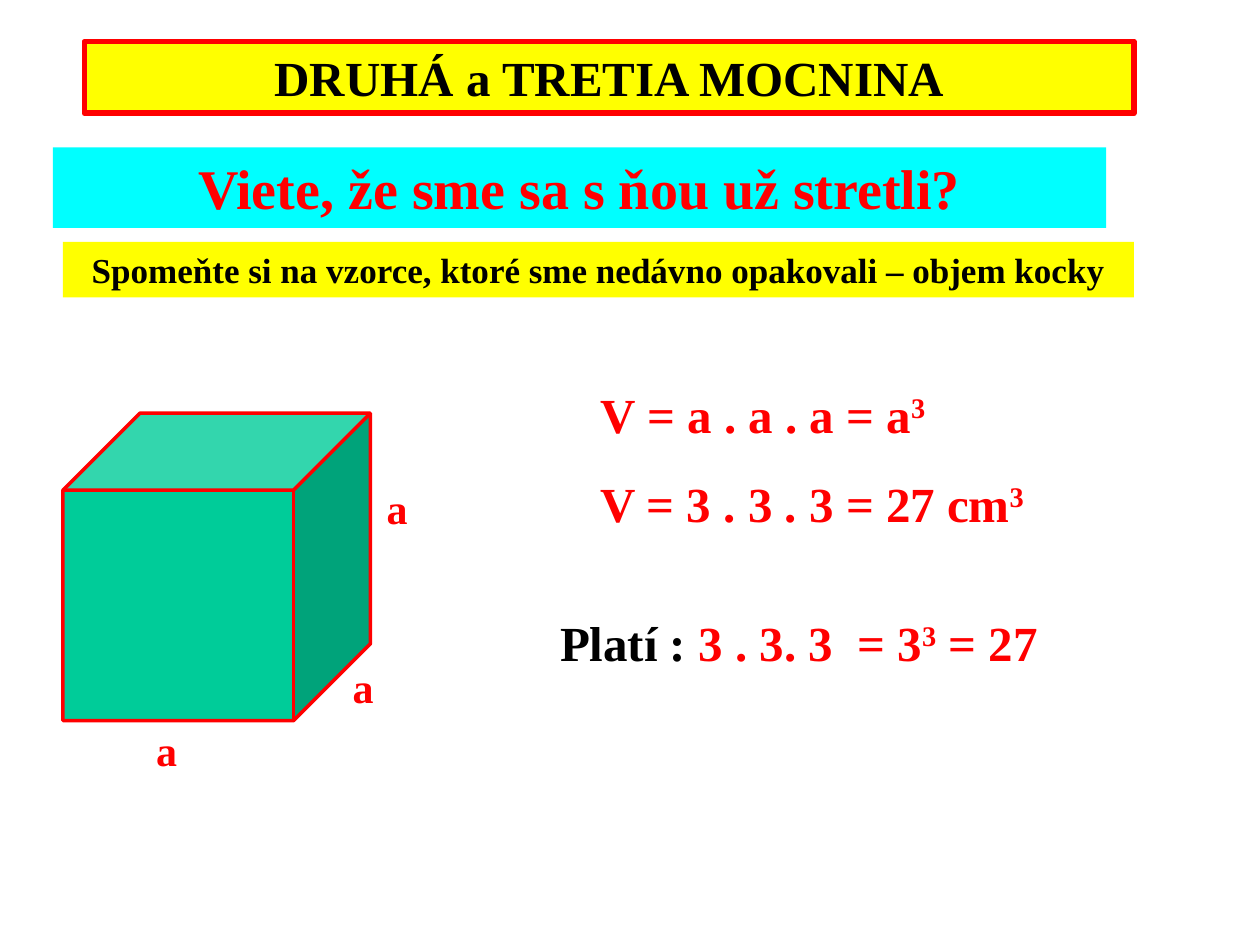
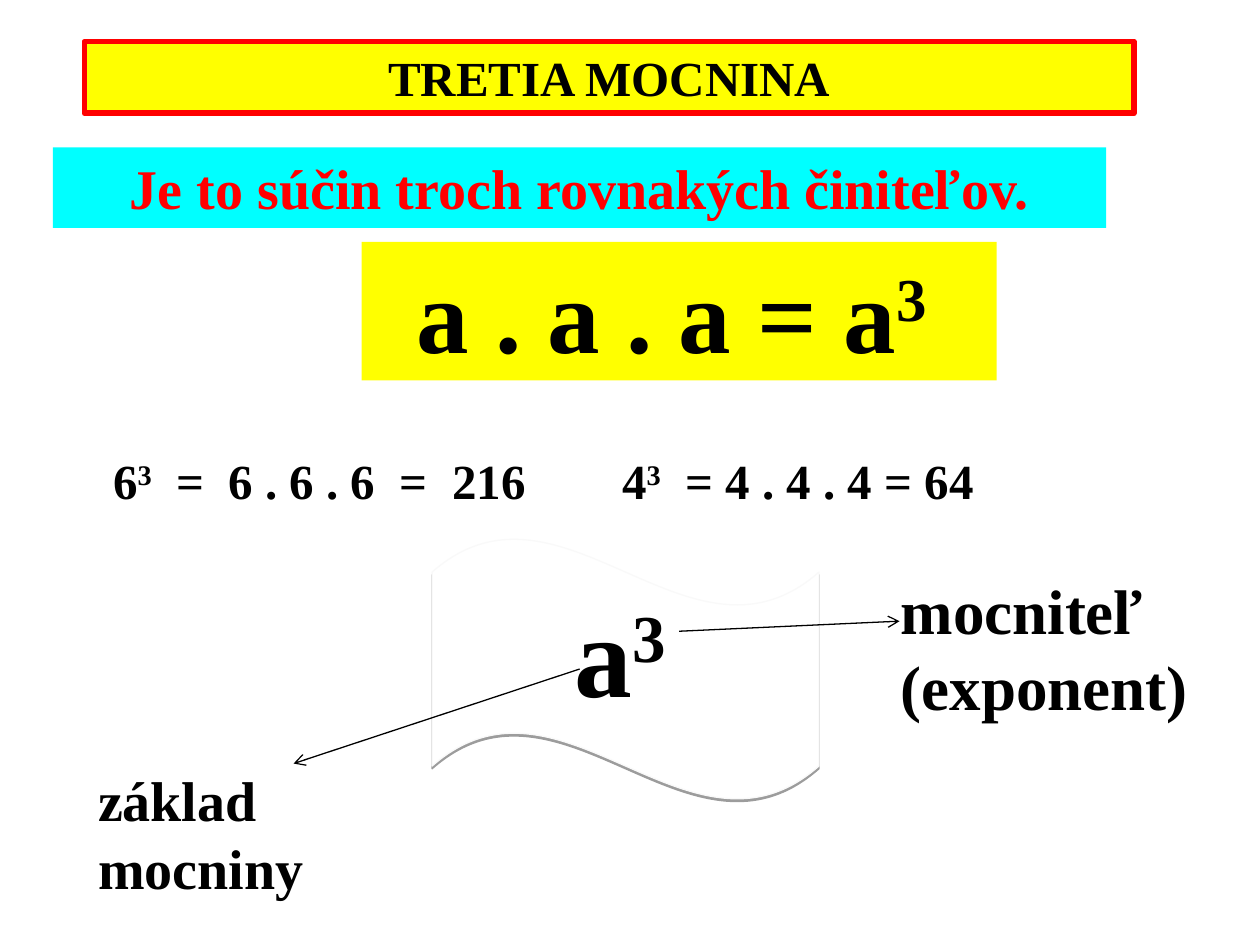
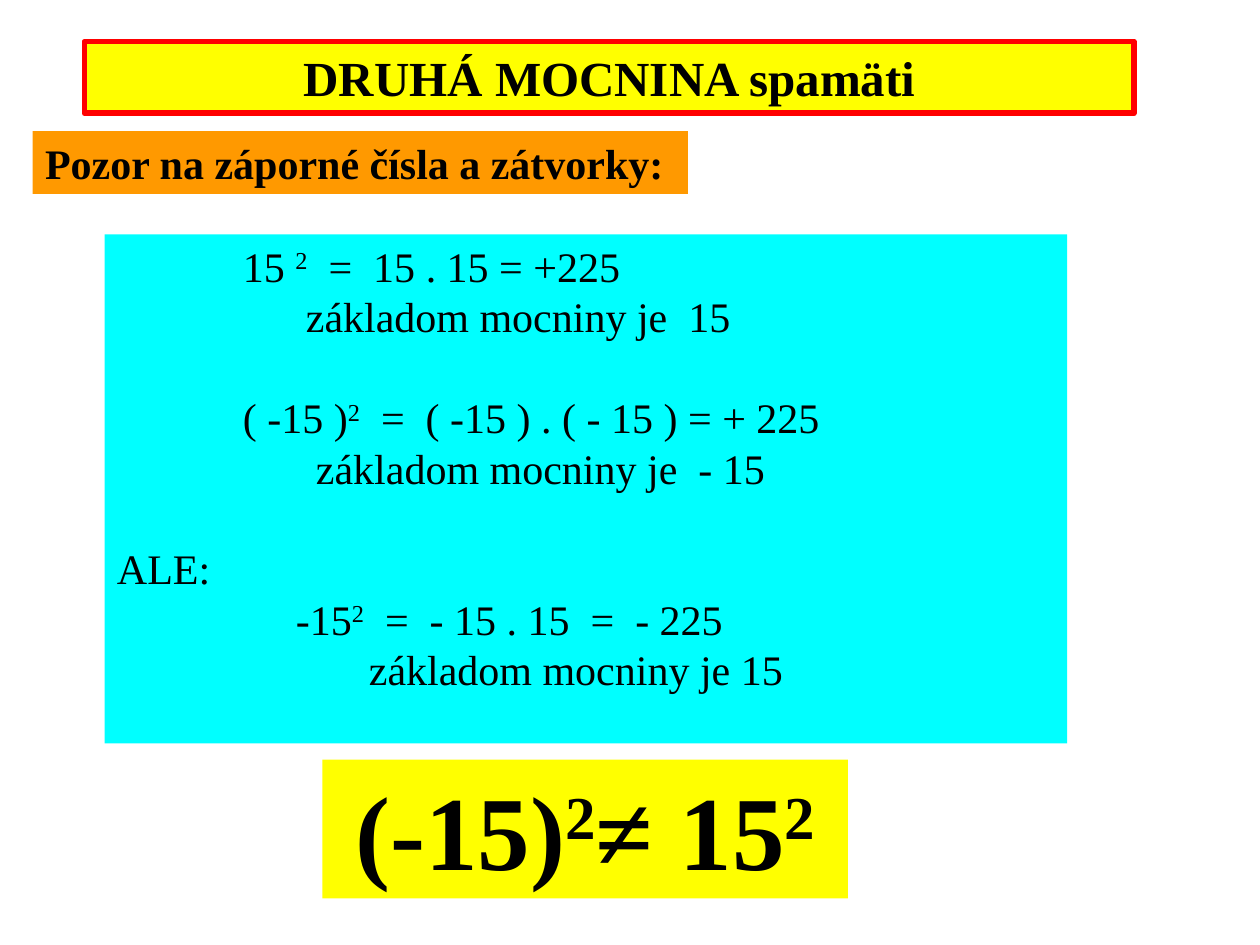
"""Build three lesson slides on second and third powers."""
from dataclasses import dataclass

from lxml.etree import SubElement
from pptx import Presentation
from pptx.dml.color import RGBColor
from pptx.enum.shapes import MSO_CONNECTOR, MSO_SHAPE
from pptx.enum.text import MSO_ANCHOR, PP_ALIGN
from pptx.oxml.ns import qn
from pptx.util import Inches, Pt


@dataclass(frozen=True)
class Theme:
    font: str = "Times New Roman"
    black: str = "000000"
    red: str = "FF0000"
    yellow: str = "FFFF00"
    cyan: str = "00FFFF"
    orange: str = "FF9900"
    green: str = "00CC99"
    white: str = "FFFFFF"
    pale: str = "F9F9F9"
    small: int = 20
    body: int = 24
    formula: int = 28
    heading: int = 32
    term: int = 36
    display: int = 60
    power: int = 66


@dataclass(frozen=True)
class Style:
    size: int
    color: str = "000000"
    fill: str = ""
    outline: str = ""
    bold: bool = True
    centered: bool = False
    wrap: bool = True


@dataclass(frozen=True)
class Para:
    text: str
    lead: str = ""
    indent: float = 0
    before: float = 0


T = Theme()
STYLES = {
    "title": Style(T.formula, fill=T.yellow, outline=T.red, centered=True),
    "band": Style(T.heading, T.red, T.cyan, centered=True),
    "hint": Style(T.small, fill=T.yellow, centered=True),
    "rule": Style(T.display, fill=T.yellow, centered=True),
    "warning": Style(T.body, fill=T.orange, wrap=False),
    "examples": Style(T.body, fill=T.cyan, bold=False),
    "volume": Style(T.formula, T.red, centered=True),
    "example": Style(T.formula, centered=True),
    "example left": Style(T.formula),
    "edge": Style(T.body, T.red),
    "base": Style(T.heading, wrap=False),
    "exponent": Style(T.term),
    "power": Style(T.power),
}
TITLE_BOX = (0.67, 0.33, 8.33, 0.57)
BAND_BOX = (0.42, 1.17, 8.36, 0.64)
EDGE_SIZE = (0.47, 0.5)
EDGE_CORNERS = [(1.14, 5.7), (2.7, 5.2), (2.97, 3.78)]
CUBE_BOX = (0.5, 3.28, 2.44, 2.44)
WAVE_BOX = (3.43, 4.27, 3.07, 2.08)
ARROWS = [((4.6, 5.31), (2.33, 6.06)), ((5.39, 5.01), (7.14, 4.93))]
EMPTY_LINE = 28.8

CUBE_SLIDE = [
    ("title", TITLE_BOX, [Para("DRUHÁ a TRETIA MOCNINA")]),
    ("band", BAND_BOX, [Para("Viete, že sme sa s ňou už stretli?")]),
    ("hint", (0.5, 1.92, 8.5, 0.44),
     [Para("Spomeňte si na vzorce, ktoré sme nedávno opakovali – objem kocky")]),
    ("volume", (3.74, 3, 4.63, 1.28),
     [Para("V = a . a . a = a^3"),
      Para("V = 3 . 3 . 3 = 27 cm^3", indent=0.78, before=17.5)]),
    ("volume", (4.13, 4.81, 4.42, 0.57),
     [Para(" 3 . 3. 3  = 3^3^ = 27", lead="Platí :")]),
] + [("edge", corner + EDGE_SIZE, [Para("a")]) for corner in EDGE_CORNERS]

THIRD_POWER_SLIDE = [
    ("title", TITLE_BOX, [Para("TRETIA MOCNINA")]),
    ("band", BAND_BOX, [Para("Je to súčin troch rovnakých činiteľov.")]),
    ("rule", (2.87, 1.92, 5.04, 1.1), [Para("a . a . a = a^3 ")]),
    ("example", (0.22, 3.53, 4.63, 0.57), [Para("6^3^  =  6 . 6 . 6  =  216")]),
    ("example left", (4.84, 3.53, 4.42, 0.57), [Para("4^3^  = 4 . 4 . 4 = 64")]),
    ("base", (0.68, 6.03, 3.2, 0.64), [Para("základ mocniny")]),
    ("exponent", (7.05, 4.49, 2.68, 1.3), [Para("mocniteľ (exponent)")]),
    ("power", (4.46, 4.57, 2.13, 1.2), [Para("a^3")]),
]

SIGN_SLIDE = [
    ("title", TITLE_BOX, [Para("DRUHÁ MOCNINA spamäti")]),
    ("examples", (0.83, 1.86, 7.64, 4.04), [
        Para("15 ^2^  =  15 . 15 = +225", indent=1),
        Para("základom mocniny je  15", indent=1.5),
        Para("( -15 )^2^  =  ( -15 ) . ( - 15 ) = + 225", indent=1, before=EMPTY_LINE),
        Para("základom mocniny je  - 15", indent=1.58),
        Para("ALE:", before=EMPTY_LINE),
        Para("-15^2^  =  - 15 . 15  =  - 225", indent=1.42),
        Para("základom mocniny je 15", indent=2),
    ]),
    ("warning", (0.26, 1.04, 5.2, 0.5), [Para("Pozor na záporné čísla a zátvorky:")]),
    ("rule", (2.56, 6.03, 4.17, 1.1), [Para("(-15)^2^≠ 15^2")]),
]


def inches(values):
    return [Inches(value) for value in values]


def add_figure(slide, preset, box, fill, outline="", width=0.75):
    figure = slide.shapes.add_shape(preset, *inches(box))
    figure.shadow.inherit = False
    figure.fill.solid()
    figure.fill.fore_color.rgb = RGBColor.from_string(fill)
    if outline:
        figure.line.color.rgb = RGBColor.from_string(outline)
        figure.line.width = Pt(width)
    else:
        figure.line.fill.background()
    return figure


def add_runs(paragraph, text, style, color):
    formats = {"name": T.font, "size": Pt(style.size), "bold": style.bold}
    for index, piece in enumerate(text.split("^")):
        if not piece:
            continue
        run = paragraph.add_run()
        run.text = piece
        for key, value in formats.items():
            setattr(run.font, key, value)
        run.font.color.rgb = RGBColor.from_string(color)
        if index % 2:
            run._r.get_or_add_rPr().set("baseline", "30000")


def add_part(slide, style, box, paras):
    if style.fill:
        holder = add_figure(slide, MSO_SHAPE.RECTANGLE, box, style.fill, style.outline, 3.25)
    else:
        holder = slide.shapes.add_textbox(*inches(box))
    frame = holder.text_frame
    frame.word_wrap = style.wrap
    frame.vertical_anchor = MSO_ANCHOR.TOP
    for index, para in enumerate(paras):
        paragraph = frame.add_paragraph() if index else frame.paragraphs[0]
        paragraph.alignment = PP_ALIGN.CENTER if style.centered else PP_ALIGN.LEFT
        if para.before:
            paragraph.space_before = Pt(para.before)
        if para.indent:
            paragraph._p.get_or_add_pPr().set("marL", str(Inches(para.indent)))
        add_runs(paragraph, para.lead, style, T.black)
        add_runs(paragraph, para.text, style, style.color)


def add_cube(slide):
    cube = add_figure(slide, MSO_SHAPE.CUBE, CUBE_BOX, T.green, T.red, 2)
    cube.adjustments[0] = 0.25


def add_wave(slide):
    wave = add_figure(slide, MSO_SHAPE.WAVE, WAVE_BOX, T.white, T.pale)
    wave.adjustments[0] = 0.13
    effects = wave._element.spPr.find(qn("a:effectLst"))
    shadow = SubElement(effects, qn("a:outerShdw"), blurRad="0", dist=str(Pt(1.6)),
                        dir="5400000", rotWithShape="0")
    tint = SubElement(shadow, qn("a:srgbClr"), val=T.black)
    SubElement(tint, qn("a:alpha"), val="38000")


def add_arrow(slide, start, end):
    arrow = slide.shapes.add_connector(MSO_CONNECTOR.STRAIGHT, *inches(start + end))
    arrow.line.color.rgb = RGBColor.from_string(T.black)
    arrow.line.width = Pt(0.75)
    SubElement(arrow.line._get_or_add_ln(), qn("a:tailEnd"), type="arrow")
    SubElement(arrow._element.spPr, qn("a:effectLst"))


def add_slide(deck, parts, backdrop=None, arrows=()):
    slide = deck.slides.add_slide(deck.slide_layouts[6])
    if backdrop:
        backdrop(slide)
    for role, box, paras in parts:
        add_part(slide, STYLES[role], box, paras)
    for start, end in arrows:
        add_arrow(slide, start, end)


def main():
    deck = Presentation()
    deck.slide_width, deck.slide_height = inches((10, 7.5))
    add_slide(deck, CUBE_SLIDE, add_cube)
    add_slide(deck, THIRD_POWER_SLIDE, add_wave, ARROWS)
    add_slide(deck, SIGN_SLIDE)
    deck.save("out.pptx")


if __name__ == "__main__":
    main()
